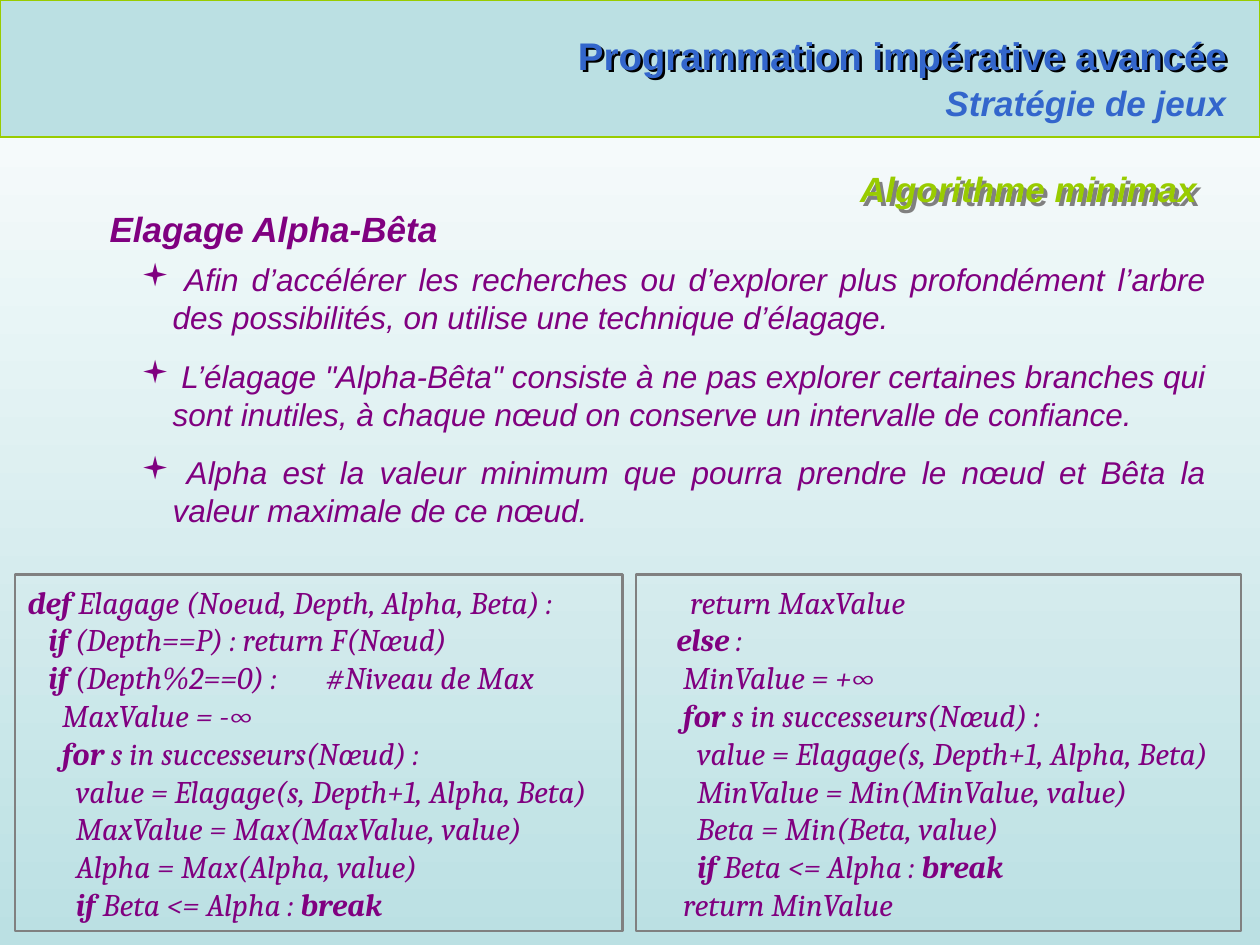
from dataclasses import dataclass

from lxml.etree import SubElement
from pptx import Presentation
from pptx.dml.color import RGBColor
from pptx.enum.shapes import MSO_CONNECTOR as Connector, MSO_SHAPE as Shape
from pptx.enum.text import MSO_ANCHOR as Anchor, MSO_AUTO_SIZE as AutoSize, PP_ALIGN as Align
from pptx.oxml.ns import qn
from pptx.util import Inches, Pt

WHITE = RGBColor(0xFF, 0xFF, 0xFF)
BLACK = RGBColor(0, 0, 0)
AQUA = RGBColor(0xBB, 0xE0, 0xE3)
GREEN = RGBColor(0x99, 0xCC, 0x00)
BLUE = RGBColor(0x33, 0x66, 0xCC)
PURPLE = RGBColor(0x80, 0x00, 0x80)
GRAY = RGBColor(0x80, 0x80, 0x80)

WIDTH, HEIGHT = Inches(10), Inches(7.5)
BANNER_HEIGHT = 0.145


@dataclass(frozen=True)
class Area:
    left: float
    top: float
    width: float
    height: float

    def lengths(self) -> tuple:
        return (int(self.left * WIDTH), int(self.top * HEIGHT),
                int(self.width * WIDTH), int(self.height * HEIGHT))


@dataclass(frozen=True)
class Style:
    size: float
    color: RGBColor
    bold: bool = True
    italic: bool = True
    font: str = "Arial"


@dataclass(frozen=True)
class Span:
    text: str
    bold: bool = False


@dataclass(frozen=True)
class CodeBox:
    area: Area
    lines: tuple


TITLE = Style(22, BLUE, italic=False)
SUBTITLE = Style(20, BLUE)
SECTION = Style(20, GREEN)
HEADING = Style(20, PURPLE)
ITEM = Style(18, PURPLE, bold=False)
CODE = Style(18, PURPLE, bold=False, font="Cambria")

ITEMS = (
    " Afin d’accélérer les recherches ou d’explorer plus profondément l’arbre des possibilités, on utilise une technique d’élagage.",
    " L’élagage \"Alpha-Bêta\" consiste à ne pas explorer certaines branches qui sont inutiles, à chaque nœud on conserve un intervalle de confiance.",
    " Alpha est la valeur minimum que pourra prendre le nœud et Bêta la valeur maximale de ce nœud.",
)

LOOP = (Span("     for", True), Span(" s in successeurs(Nœud) :"))
CALL = (Span("       value = Elagage(s, Depth+1, Alpha, Beta)"),)
CUT = (Span("       if", True), Span(" Beta <= Alpha : "), Span("break", True))

CODE_BOXES = (
    CodeBox(Area(0.012, 0.608, 0.482, 0.377), (
        (Span("def", True), Span(" Elagage (Noeud, Depth, Alpha, Beta) :")),
        (Span("   if", True), Span(" (Depth==P) : return F(Nœud)")),
        (Span("   if ", True), Span("(Depth%2==0) :       #Niveau de Max")),
        (Span("     MaxValue = -∞"),),
        LOOP,
        CALL,
        (Span("       MaxValue = Max(MaxValue, value)"),),
        (Span("       Alpha = Max(Alpha, value)"),),
        CUT,
    )),
    CodeBox(Area(0.505, 0.608, 0.48, 0.377), (
        (Span("      return MaxValue"),),
        (Span("    else ", True), Span(":")),
        (Span("     MinValue = +∞"),),
        LOOP,
        CALL,
        (Span("       MinValue = Min(MinValue, value)"),),
        (Span("       Beta = Min(Beta, value)"),),
        CUT,
        (Span("     return MinValue"),),
    )),
)


def add_span(para, text: str, style: Style, bold: bool) -> None:
    span = para.add_run()
    span.text = text
    span.font.name = style.font
    span.font.size = Pt(style.size)
    span.font.bold = bold
    span.font.italic = style.italic
    span.font.color.rgb = style.color


def place(box, area: Area) -> None:
    box.left, box.top, box.width, box.height = area.lengths()


def set_frame(box, wrap: bool = True, anchor=Anchor.TOP):
    frame = box.text_frame
    frame.auto_size = AutoSize.NONE
    frame.word_wrap = wrap
    frame.vertical_anchor = anchor
    return frame


def write_label(box, text: str, style: Style, wrap: bool = False) -> None:
    para = set_frame(box, wrap).paragraphs[0]
    para.alignment = Align.RIGHT
    add_span(para, text, style, style.bold)


def add_text_shadow(box, color: RGBColor, distance: float) -> None:
    box.fill.background()
    effects = SubElement(box._element.spPr, qn("a:effectLst"))
    shadow = SubElement(effects, qn("a:outerShdw"), dist=str(Pt(distance)),
                        dir="2700000", algn="ctr", rotWithShape="0")
    SubElement(shadow, qn("a:srgbClr"), val=str(color))


def set_bullet(para, margin: float, hanging: float, mark: str = "") -> None:
    properties = para._p.get_or_add_pPr()
    properties.set("marL", str(Inches(margin)))
    properties.set("indent", str(-Inches(hanging)))
    if mark:
        SubElement(properties, qn("a:buFont"), typeface="Wingdings")
        SubElement(properties, qn("a:buChar"), char=mark)
    else:
        SubElement(properties, qn("a:buNone"))


def write_list(box, heading: str, items: tuple) -> None:
    frame = set_frame(box)
    first = frame.paragraphs[0]
    set_bullet(first, 0, 0)
    add_span(first, heading, HEADING, HEADING.bold)
    first.space_after = Pt(6)
    for item in items:
        para = frame.add_paragraph()
        para.level = 1
        set_bullet(para, 0.5, 0.25, "▪")
        add_span(para, item, ITEM, ITEM.bold)
        para.space_after = Pt(12)
    for para in frame.paragraphs:
        para.alignment = Align.JUSTIFY
        para.space_before = Pt(0)


def add_banner(page) -> None:
    banner = page.shapes.add_shape(Shape.RECTANGLE, *Area(0, 0, 1, BANNER_HEIGHT).lengths())
    banner.shadow.inherit = False
    banner.fill.solid()
    banner.fill.fore_color.rgb = AQUA
    banner.line.color.rgb = GREEN
    banner.line.width = Pt(0.75)
    page.shapes._spTree.remove(banner._element)
    page.shapes._spTree.insert(2, banner._element)
    level = int(BANNER_HEIGHT * HEIGHT)
    rule = page.shapes.add_connector(Connector.STRAIGHT, Inches(0.34), level, Inches(9.76), level)
    rule.line.color.rgb = GREEN
    rule.line.width = Pt(0.75)
    SubElement(rule._element.spPr, qn("a:effectLst"))


def add_code(page, code: CodeBox) -> None:
    box = page.shapes.add_shape(Shape.RECTANGLE, *code.area.lengths())
    box.shadow.inherit = False
    box.fill.background()
    box.line.color.rgb = GRAY
    box.line.width = Pt(1.25)
    frame = set_frame(box, anchor=Anchor.MIDDLE)
    for number, line in enumerate(code.lines):
        para = frame.add_paragraph() if number else frame.paragraphs[0]
        para.alignment = Align.LEFT
        for span in line:
            add_span(para, span.text, CODE, span.bold)


def main() -> None:
    deck = Presentation()
    deck.slide_width, deck.slide_height = WIDTH, HEIGHT
    page = deck.slides.add_slide(deck.slide_layouts[1])
    backdrop = page.background.fill
    backdrop.gradient()
    backdrop.gradient_angle = 270
    for stop, color in zip(backdrop.gradient_stops, (WHITE, AQUA)):
        stop.color.rgb = color

    add_banner(page)
    title, body = page.placeholders
    place(title, Area(0.442, 0.027, 0.542, 0.063))
    write_label(title, "Programmation impérative avancée", TITLE)
    add_text_shadow(title, BLACK, 2)
    subtitle = page.shapes.add_textbox(*Area(0.739, 0.08, 0.244, 0.058).lengths())
    write_label(subtitle, "Stratégie de jeux", SUBTITLE)
    section = page.shapes.add_textbox(*Area(0.217, 0.171, 0.743, 0.058).lengths())
    write_label(section, "Algorithme minimax", SECTION, wrap=True)
    add_text_shadow(section, GRAY, 3)
    place(body, Area(0.077, 0.213, 0.89, 0.357))
    write_list(body, "Elagage Alpha-Bêta", ITEMS)
    for code in CODE_BOXES:
        add_code(page, code)
    deck.save("out.pptx")


if __name__ == "__main__":
    main()
